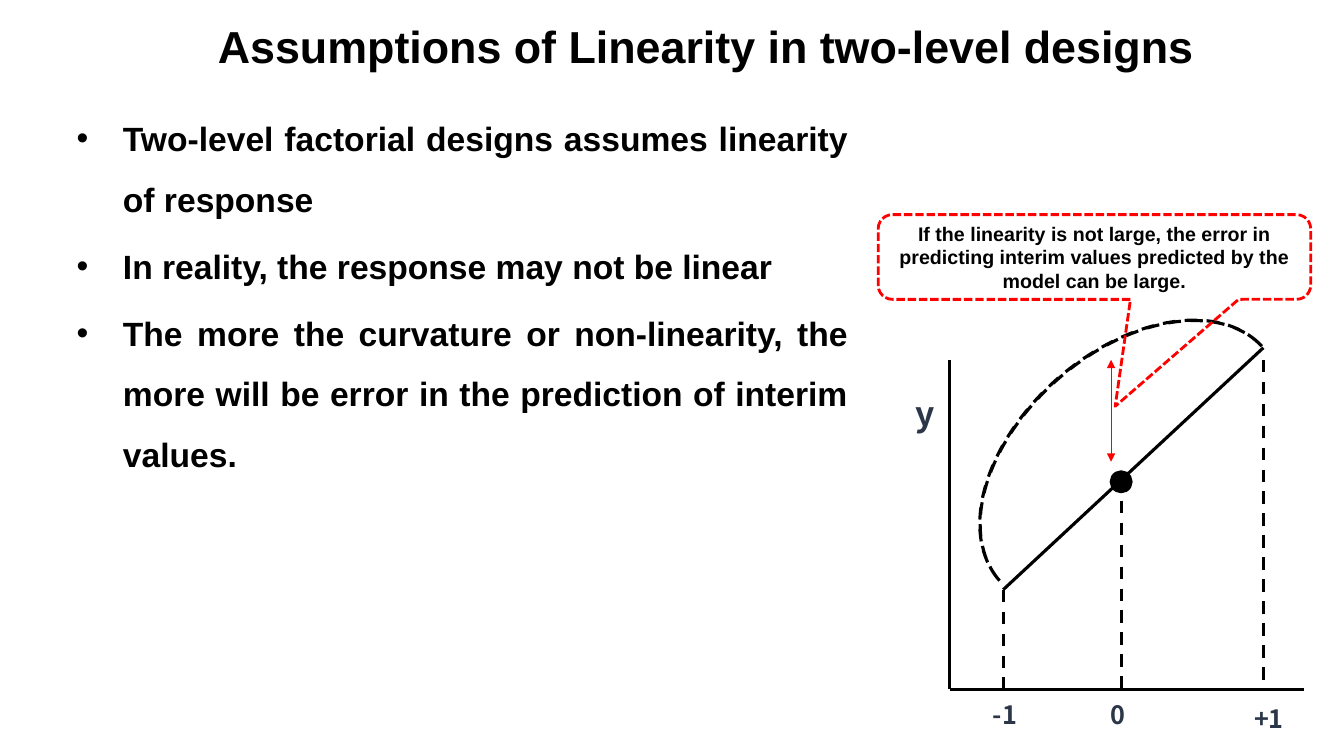
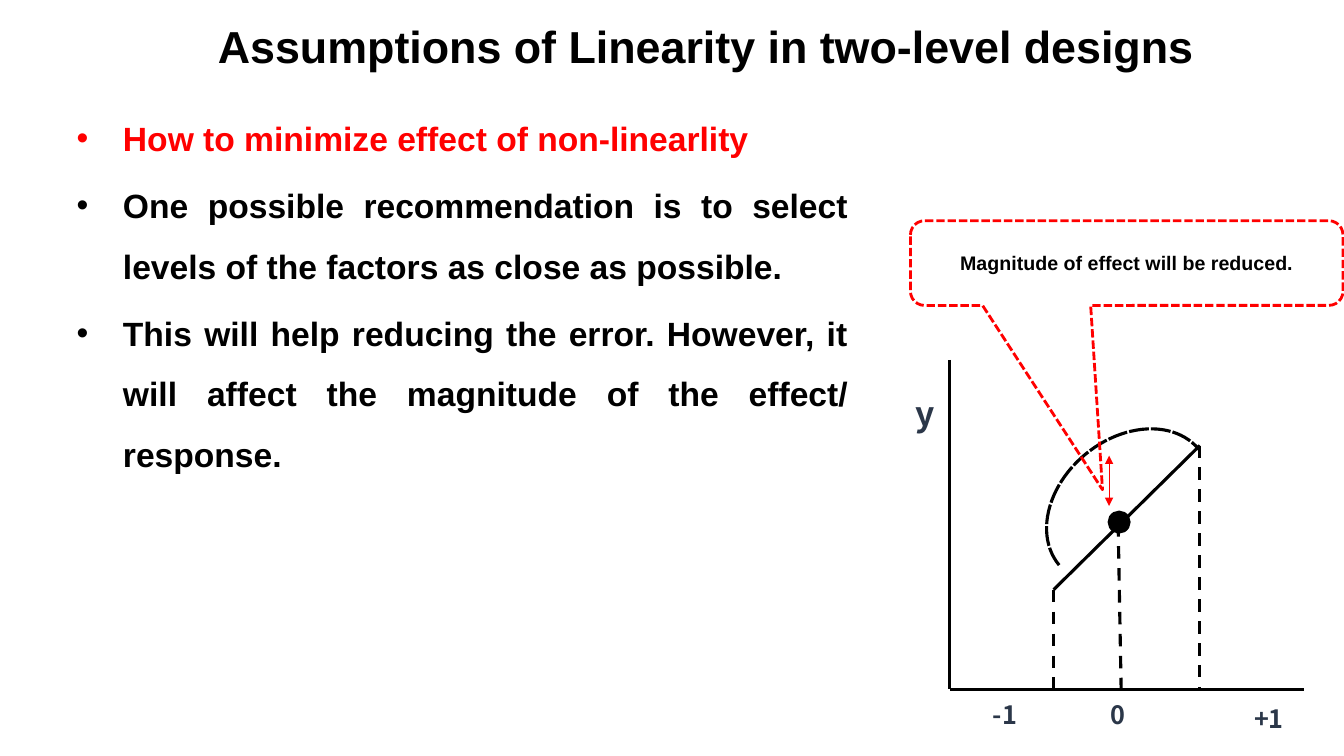
from dataclasses import dataclass

from lxml.etree import SubElement
from pptx import Presentation
from pptx.dml.color import RGBColor
from pptx.enum.dml import MSO_LINE
from pptx.enum.shapes import MSO_CONNECTOR, MSO_SHAPE
from pptx.enum.text import MSO_ANCHOR, MSO_AUTO_SIZE, PP_ALIGN
from pptx.oxml.ns import qn
from pptx.util import Inches, Pt

BLACK = "000000"
RED = "FF0000"
SLATE = "2B3749"
TITLE = "Assumptions of Linearity in two-level designs"
TEXT_FONT = "Arial"
LABEL_FONT = "Noto Sans CJK KR"
DOT_SIZE = 0.2
AXIS_LEFT = 9.42
AXIS_TOP = 3.57
AXIS_BOTTOM = 6.84


@dataclass(frozen=True)
class Bullet:
    text: str
    color: str = BLACK


@dataclass(frozen=True)
class Line:
    start: tuple[float, float]
    end: tuple[float, float]
    color: str = BLACK
    weight: float = 2.25
    dashed: bool = False
    arrows: bool = False


@dataclass(frozen=True)
class Label:
    text: str
    left: float
    top: float
    width: float
    height: float = 0.4
    size: float = 18


@dataclass(frozen=True)
class Arc:
    left: float
    top: float
    width: float
    height: float
    rotation: float
    thickness: float


@dataclass(frozen=True)
class Callout:
    text: str
    left: float
    top: float
    pointer: tuple[float, float]
    width: float = 4.29
    height: float = 0.84


@dataclass(frozen=True)
class Lesson:
    bullets: list[Bullet]
    low: tuple[float, float]
    high: tuple[float, float]
    high_drop_top: float
    center_drop: tuple[float, float]
    dot: tuple[float, float]
    arc: Arc
    error_x: float
    error_top: float
    error_bottom: float
    callout: Callout


AXES = [
    Line((AXIS_LEFT, AXIS_TOP), (AXIS_LEFT, AXIS_BOTTOM)),
    Line((12.93, AXIS_BOTTOM), (AXIS_LEFT, AXIS_BOTTOM)),
]

LABELS = [
    Label("0", 10.92, 6.89, 0.35),
    Label("+1", 12.34, 6.93, 0.53),
    Label("-1", 9.75, 6.89, 0.45),
    Label("y", 8.98, 3.85, 0.38, 0.5, 24),
]

LESSONS = [
    Lesson(
        bullets=[
            Bullet("Two-level factorial designs assumes linearity of response"),
            Bullet("In reality, the response may not be linear"),
            Bullet("The more the curvature or non-linearity, the more will be "
                   "error in the prediction of interim values."),
        ],
        low=(9.95, 5.85),
        high=(12.53, 3.45),
        high_drop_top=AXIS_TOP,
        center_drop=(11.12, 4.75),
        dot=(11.02, 4.68),
        arc=Arc(10.29, 2.44, 1.12, 3.49, 48.5, 0.005),
        error_x=11.02,
        error_top=3.57,
        error_bottom=4.58,
        callout=Callout(
            "If the linearity is not large, the error in predicting interim "
            "values predicted by the model can be large.",
            8.71, 2.13, (0.048, 1.763)),
    ),
    Lesson(
        bullets=[
            Bullet("How to minimize effect of non-linearlity", RED),
            Bullet("One possible recommendation is to select levels of the "
                   "factors as close as possible."),
            Bullet("This will help reducing the error. However, it will affect "
                   "the magnitude of the effect/ response."),
        ],
        low=(10.45, 5.85),
        high=(11.9, 4.42),
        high_drop_top=4.42,
        center_drop=(11.09, 5.2),
        dot=(11, 5.08),
        arc=Arc(10.64, 3.87, 0.68, 1.8, 50.3, 0),
        error_x=11,
        error_top=4.52,
        error_bottom=5.02,
        callout=Callout("Magnitude of effect will be reduced.",
                        9.03, 2.19, (-0.056, 2.676)),
    ),
]


def rgb(value: str) -> RGBColor:
    return RGBColor.from_string(value)


def write(para, text: str, *, size: float, color: str = BLACK,
          font: str = TEXT_FONT, align=None, spacing=None) -> None:
    para.alignment = align
    para.line_spacing = spacing
    span = para.add_run()
    span.text = text
    span.font.name = font
    span.font.size = Pt(size)
    span.font.bold = True
    span.font.color.rgb = rgb(color)


def place(shape, left: float, top: float, width: float, height: float) -> None:
    shape.left, shape.top = Inches(left), Inches(top)
    shape.width, shape.height = Inches(width), Inches(height)


def outline(shape, color: str, weight: float, dash=None) -> None:
    shape.line.color.rgb = rgb(color)
    shape.line.width = Pt(weight)
    if dash is not None:
        shape.line.dash_style = dash


def draw_title(page) -> None:
    title = page.shapes.title
    place(title, 2.06, 0.08, 11.32, 0.47)
    frame = title.text_frame
    frame.auto_size = MSO_AUTO_SIZE.NONE
    frame.vertical_anchor = MSO_ANCHOR.MIDDLE
    write(frame.paragraphs[0], TITLE, size=32, align=PP_ALIGN.JUSTIFY, spacing=1.5)


def draw_bullets(page, bullets: list[Bullet]) -> None:
    body = page.placeholders[1]
    place(body, 0.66, 0.92, 7.85, 5.24)
    frame = body.text_frame
    frame.auto_size = MSO_AUTO_SIZE.NONE
    for index, bullet in enumerate(bullets):
        para = frame.add_paragraph() if index else frame.paragraphs[0]
        properties = para._p.get_or_add_pPr()
        properties.set("marL", str(Inches(0.46)))
        properties.set("indent", str(Inches(-0.46)))
        para.space_before = Pt(4.8 if index else 0)
        write(para, bullet.text, size=24, color=bullet.color,
              align=PP_ALIGN.JUSTIFY, spacing=1.5)


def draw_line(page, line: Line) -> None:
    connector = page.shapes.add_connector(
        MSO_CONNECTOR.STRAIGHT, *(Inches(value) for value in line.start + line.end))
    outline(connector, line.color, line.weight, MSO_LINE.DASH if line.dashed else None)
    properties = connector.element.spPr
    if line.arrows:
        stroke = properties.find(qn("a:ln"))
        for end in ("a:headEnd", "a:tailEnd"):
            SubElement(stroke, qn(end), type="triangle")
    SubElement(properties, qn("a:effectLst"))


def draw_shape(page, kind, left: float, top: float, width: float, height: float):
    shape = page.shapes.add_shape(
        kind, Inches(left), Inches(top), Inches(width), Inches(height))
    shape.shadow.inherit = False
    shape.fill.background()
    return shape


def draw_dot(page, left: float, top: float) -> None:
    dot = draw_shape(page, MSO_SHAPE.OVAL, left, top, DOT_SIZE, DOT_SIZE)
    dot.fill.solid()
    dot.fill.fore_color.rgb = rgb(BLACK)
    outline(dot, BLACK, 2)


def draw_arc(page, arc: Arc) -> None:
    curve = draw_shape(page, MSO_SHAPE.MOON, arc.left, arc.top, arc.width, arc.height)
    curve.adjustments[0] = arc.thickness
    curve.rotation = arc.rotation
    outline(curve, BLACK, 2.25, MSO_LINE.DASH)


def draw_label(page, label: Label) -> None:
    box = page.shapes.add_textbox(Inches(label.left), Inches(label.top),
                                  Inches(label.width), Inches(label.height))
    frame = box.text_frame
    frame.word_wrap = False
    frame.auto_size = MSO_AUTO_SIZE.SHAPE_TO_FIT_TEXT
    write(frame.paragraphs[0], label.text, size=label.size, color=SLATE, font=LABEL_FONT)


def draw_callout(page, callout: Callout) -> None:
    bubble = draw_shape(page, MSO_SHAPE.ROUNDED_RECTANGULAR_CALLOUT, callout.left,
                        callout.top, callout.width, callout.height)
    for index, value in enumerate((*callout.pointer, 0.167)):
        bubble.adjustments[index] = value
    outline(bubble, RED, 2, MSO_LINE.SQUARE_DOT)
    frame = bubble.text_frame
    frame.word_wrap = True
    frame.vertical_anchor = MSO_ANCHOR.MIDDLE
    write(frame.paragraphs[0], callout.text, size=14, align=PP_ALIGN.CENTER)


def draw_lesson(deck, lesson: Lesson) -> None:
    page = deck.slides.add_slide(deck.slide_layouts[1])
    draw_title(page)
    draw_bullets(page, lesson.bullets)
    low_x, high_x = lesson.low[0], lesson.high[0]
    lines = [
        *AXES,
        Line(lesson.low, (low_x, AXIS_BOTTOM), dashed=True),
        Line((high_x, lesson.high_drop_top), (high_x, AXIS_BOTTOM), dashed=True),
        Line(lesson.center_drop, (11.12, AXIS_BOTTOM), dashed=True),
        Line(lesson.high, lesson.low),
    ]
    for line in lines:
        draw_line(page, line)
    draw_dot(page, *lesson.dot)
    draw_arc(page, lesson.arc)
    for label in LABELS:
        draw_label(page, label)
    draw_line(page, Line((lesson.error_x, lesson.error_top),
                         (lesson.error_x, lesson.error_bottom),
                         color=RED, weight=0.75, arrows=True))
    draw_callout(page, lesson.callout)


def main() -> None:
    deck = Presentation()
    deck.slide_width, deck.slide_height = Inches(13.33), Inches(7.5)
    for lesson in LESSONS:
        draw_lesson(deck, lesson)
    deck.save("out.pptx")


if __name__ == "__main__":
    main()
